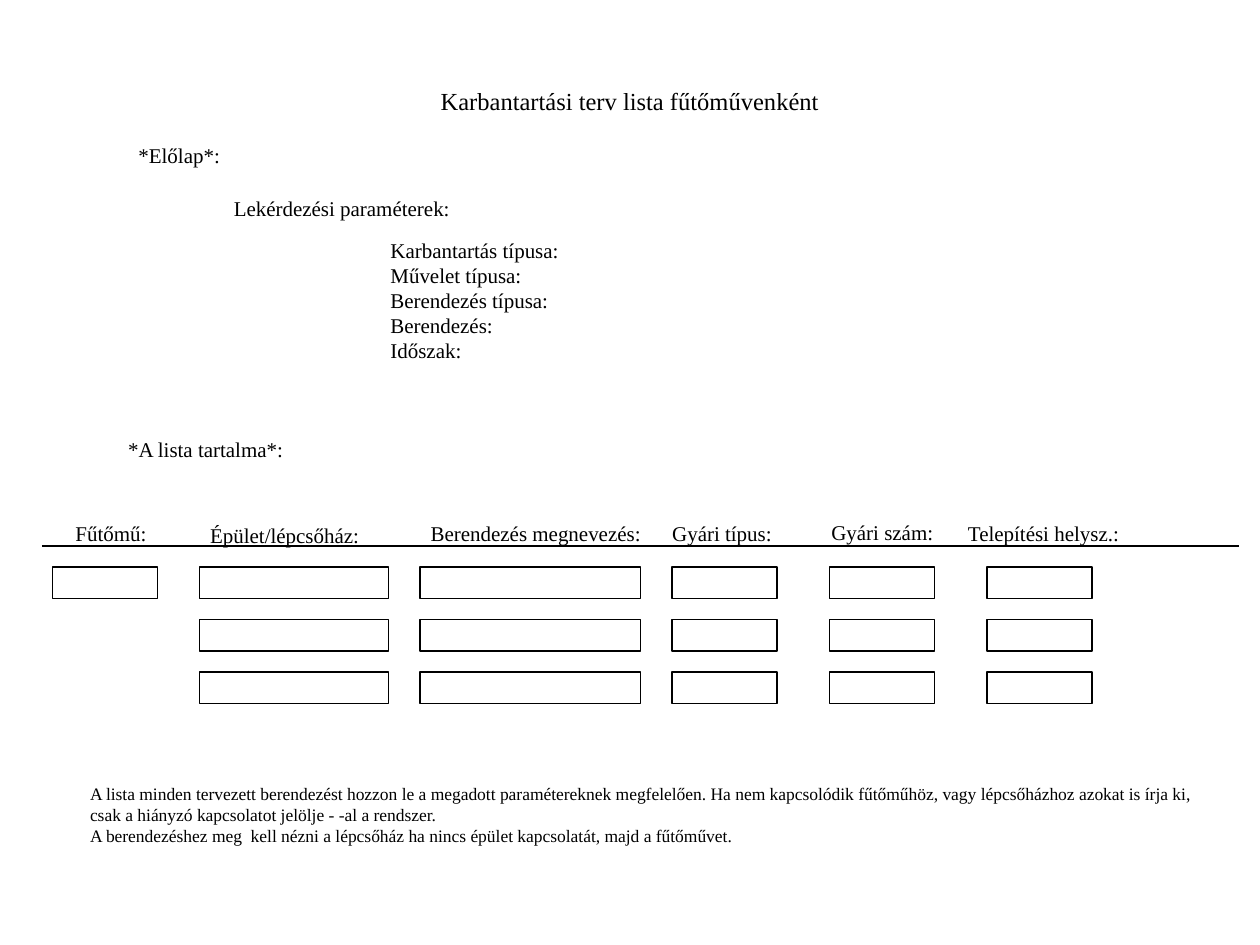
"""Build the maintenance plan list slide: query parameters, list columns and notes."""
import pptx
import pptx.dml.color
import pptx.enum.shapes
import pptx.enum.text
import pptx.util
from lxml import etree

Pt = pptx.util.Pt
COLOURS = {"ink": "000000"}
INK = pptx.dml.color.RGBColor.from_string(COLOURS["ink"])
ALIGN = pptx.enum.text.PP_ALIGN
FRAME_FORMAT = {
    "auto_size": pptx.enum.text.MSO_AUTO_SIZE.SHAPE_TO_FIT_TEXT,
    "vertical_anchor": pptx.enum.text.MSO_ANCHOR.TOP,
    "margin_left": Pt(7.2),
    "margin_right": Pt(7.2),
    "margin_top": Pt(3.6),
    "margin_bottom": Pt(3.6),
}

deck = pptx.Presentation()
deck.slide_width, deck.slide_height = Pt(720), Pt(540)
slide = deck.slides.add_slide(deck.slide_layouts[6])


def add_text(lines, left, top, width, height, size=12, align=ALIGN.LEFT, wrap=False):
    box = slide.shapes.add_textbox(Pt(left), Pt(top), Pt(width), Pt(height))
    frame = box.text_frame
    frame.text = "\n".join(lines)
    for name, value in {**FRAME_FORMAT, "word_wrap": wrap}.items():
        setattr(frame, name, value)
    for paragraph in frame.paragraphs:
        paragraph.alignment = align
        for run in paragraph.runs:
            for name, value in {"name": "Times New Roman", "size": Pt(size)}.items():
                setattr(run.font, name, value)
            run.font.color.rgb = INK


add_text(["Karbantartási terv lista fűtőművenként"], 0, 45.36, 720, 24.5,
         size=14, align=ALIGN.CENTER, wrap=True)
add_text(["*Előlap*:"], 72, 77.76, 63, 21.6)
add_text(["Lekérdezési paraméterek:"], 126.5, 108, 139.5, 21.6)
add_text(["Karbantartás típusa:", "Művelet típusa:", "Berendezés típusa:",
          "Berendezés:", "Időszak:"], 216, 132, 112.5, 93.6)
add_text(["*A lista tartalma*:"], 66.2, 246, 105.5, 21.6)

columns = [
    ("Fűtőmű:", 36, 294, 56.5, 30, 60, 1),
    ("Épület/lépcsőház:", 113, 295.2, 101.5, 114, 108, 3),
    ("Berendezés megnevezés:", 239, 294, 136.5, 240, 126, 3),
    ("Gyári típus:", 377, 294, 73, 384, 60, 3),
    ("Gyári szám:", 468, 293.4, 74.5, 474, 60, 3),
    ("Telepítési helysz.:", 546, 294, 103.5, 564, 60, 3),
]
for heading, heading_left, heading_top, heading_width, left, width, rows in columns:
    add_text([heading], heading_left, heading_top, heading_width, 21.6)
    for row in range(rows):
        field = slide.shapes.add_shape(pptx.enum.shapes.MSO_SHAPE.RECTANGLE,
                                       Pt(left), Pt(324 + 30 * row), Pt(width), Pt(18))
        field.shadow.inherit = False
        field.fill.background()
        field.line.color.rgb = INK
        field.line.width = Pt(0.75)

header_rule = slide.shapes.add_connector(pptx.enum.shapes.MSO_CONNECTOR.STRAIGHT,
                                         Pt(24), Pt(312), Pt(708), Pt(312))
header_rule.line.color.rgb = INK
header_rule.line.width = Pt(0.75)
etree.SubElement(header_rule._element.spPr,
                 "{http://schemas.openxmlformats.org/drawingml/2006/main}effectLst")

add_text([
    "A lista minden tervezett berendezést hozzon le a megadott paramétereknek megfelelően. "
    "Ha nem kapcsolódik fűtőműhöz, vagy lépcsőházhoz azokat is írja ki,",
    "csak a hiányzó kapcsolatot jelölje - -al a rendszer.",
    "A berendezéshez meg  kell nézni a lépcsőház ha nincs épület kapcsolatát, majd a fűtőművet.",
], 44.4, 444, 647.5, 43.2, size=10)

deck.save("out.pptx")
